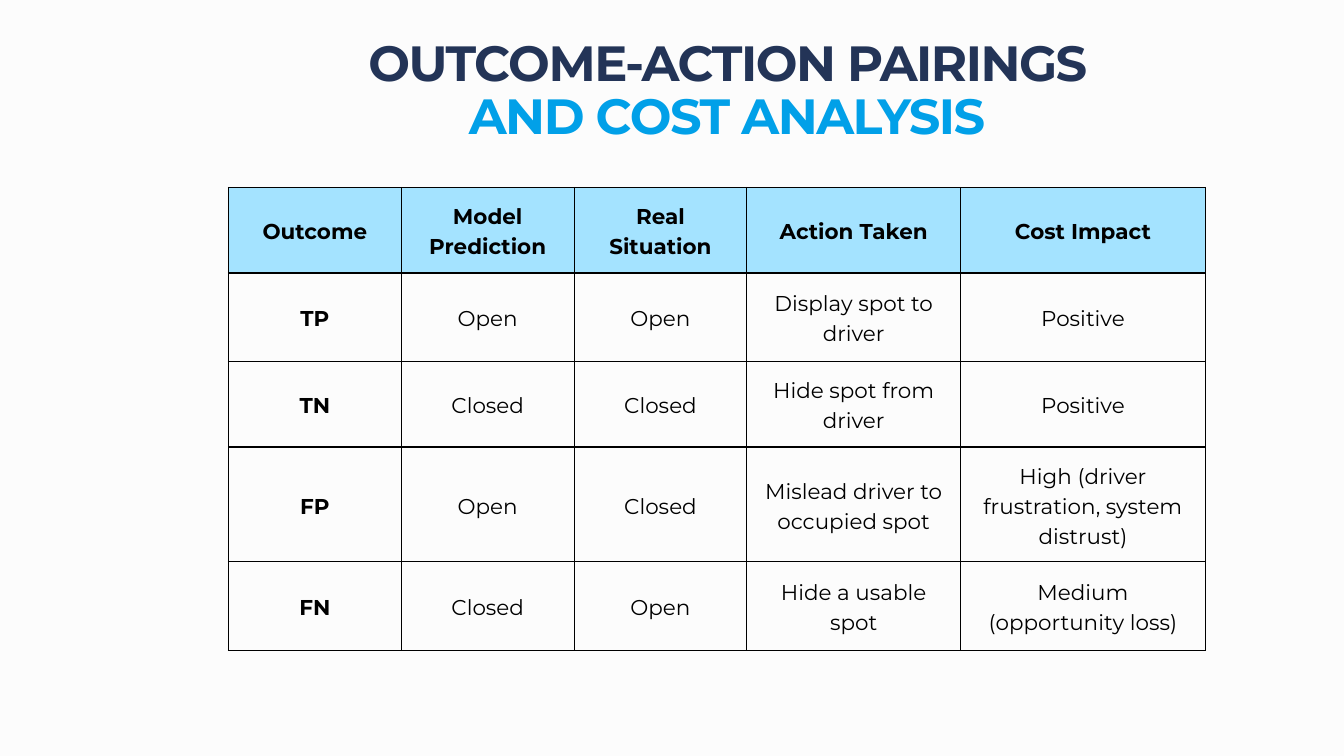
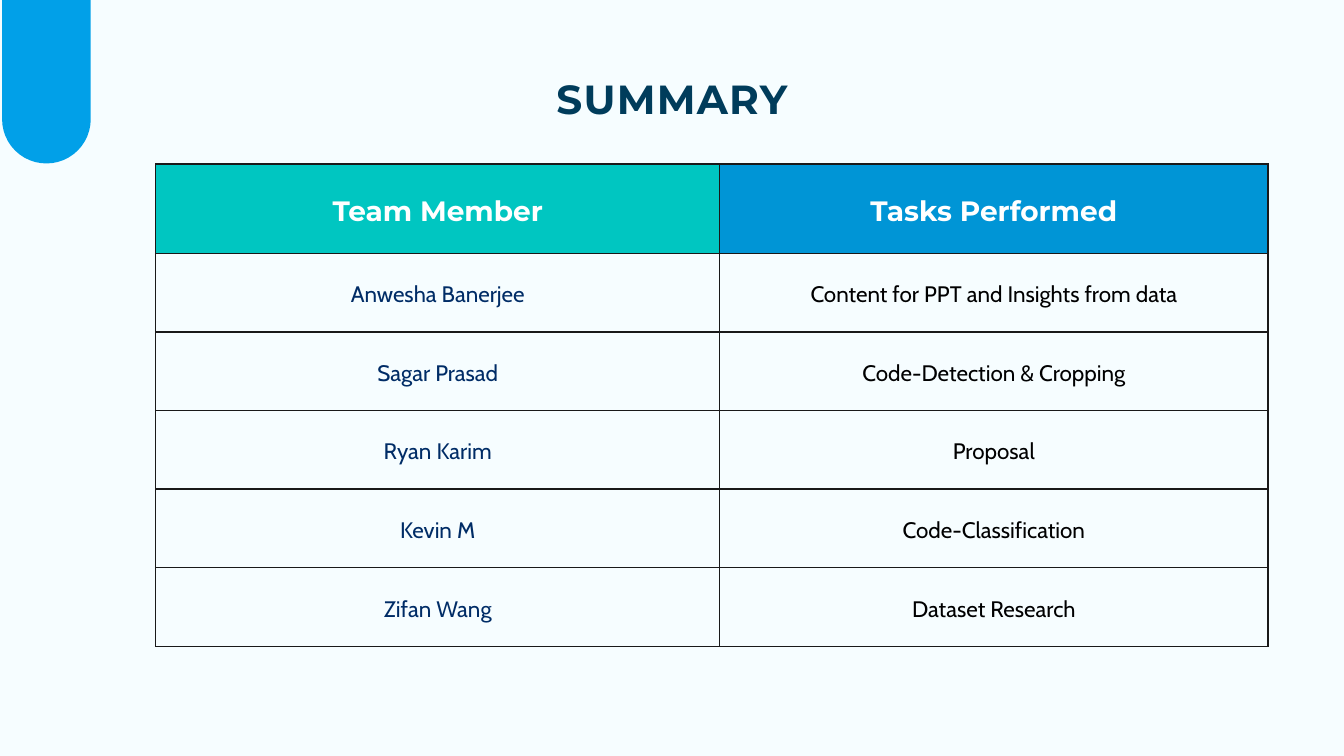
from lxml import etree
from pptx import Presentation
from pptx.dml.color import RGBColor
from pptx.enum.shapes import MSO_SHAPE
from pptx.enum.text import MSO_ANCHOR, MSO_AUTO_SIZE, PP_ALIGN
from pptx.oxml.ns import qn
from pptx.util import Cm, Pt

PILL = MSO_SHAPE.ROUNDED_RECTANGLE
TOP, MIDDLE = MSO_ANCHOR.TOP, MSO_ANCHOR.MIDDLE
CENTER = PP_ALIGN.CENTER
NO_FIT = MSO_AUTO_SIZE.NONE
TITLE_ONLY = 5

HEAD_FONT, BODY_FONT = "Montserrat", "Cabin"
LEADING = 1.4  # line height in tables, as a multiple of the text size

COLORS = {
    "paper": "FCFCFC",
    "mist": "F6FDFF",
    "navy": "233457",
    "deep": "003C5B",
    "azure": "01A0E8",
    "sky": "A4E3FF",
    "teal": "00C6C1",
    "blue": "0095D6",
    "name": "002C66",
    "rule": "191919",
    "black": "000000",
    "white": "FFFFFF",
}

COSTS = [
    ["Outcome", "Model Prediction", "Real Situation", "Action Taken", "Cost Impact"],
    ["TP", "Open", "Open", "Display spot to driver", "Positive"],
    ["TN", "Closed", "Closed", "Hide spot from driver", "Positive"],
    ["FP", "Open", "Closed", "Mislead driver to occupied spot",
     "High (driver frustration, system distrust)"],
    ["FN", "Closed", "Open", "Hide a usable spot", "Medium (opportunity loss)"],
]

TASKS = [
    ["Team Member", "Tasks Performed"],
    ["Anwesha Banerjee", "Content for PPT and Insights from data"],
    ["Sagar Prasad", "Code-Detection & Cropping"],
    ["Ryan Karim", "Proposal"],
    ["Kevin M", "Code-Classification"],
    ["Zifan Wang", "Dataset Research"],
]


def rgb(name):
    return RGBColor.from_string(COLORS[name])


def paint(target, name):
    target.fill.solid()
    target.fill.fore_color.rgb = rgb(name)


def style(run, font, size, color, bold=False):
    run.font.name = font
    run.font.size = Pt(size)
    run.font.bold = bold
    run.font.color.rgb = rgb(color)


def add_slide(deck, color):
    slide = deck.slides.add_slide(deck.slide_layouts[TITLE_ONLY])
    paint(slide.background, color)
    return slide


def add_title(slide, box, parts, size, lead, track):
    """Fill the title with (text, color) parts; track is the letter spacing in points."""
    title = slide.shapes.title
    title.left, title.top, title.width, title.height = map(Cm, box)
    frame = title.text_frame
    frame.margin_left = frame.margin_right = frame.margin_top = frame.margin_bottom = 0
    frame.vertical_anchor = TOP
    frame.auto_size = NO_FIT
    frame.word_wrap = True
    para = frame.paragraphs[0]
    para.alignment = CENTER
    para.line_spacing = Pt(lead)
    for text, color in parts:
        run = para.add_run()
        run.text = text
        style(run, HEAD_FONT, size, color, True)
        run.font._element.set("spc", str(round(track * 100)))


def add_border(cell, color):
    props = cell._tc.get_or_add_tcPr()
    for side in ("a:lnL", "a:lnR", "a:lnT", "a:lnB"):
        line = etree.SubElement(props, qn(side), w=str(Pt(1.5)))
        fill = etree.SubElement(line, qn("a:solidFill"))
        etree.SubElement(fill, qn("a:srgbClr"), val=COLORS[color])


def add_grid(slide, spot, cols, rows, data, inset, rule, look):
    """Add a table; look(row, col) gives a cell's fill and its text style."""
    left, top = spot
    frame = slide.shapes.add_table(len(rows), len(cols), Cm(left), Cm(top),
                                   Cm(sum(cols)), Cm(sum(rows)))
    table = frame.table
    table.first_row = table.horz_banding = False
    for col, width in zip(table.columns, cols):
        col.width = Cm(width)
    for row, height in zip(table.rows, rows):
        row.height = Cm(height)
    for r, line in enumerate(data):
        for c, text in enumerate(line):
            fill, font, size, color, bold = look(r, c)
            cell = table.cell(r, c)
            add_border(cell, rule)
            if fill:
                paint(cell, fill)
            else:
                cell.fill.background()
            cell.margin_left = cell.margin_right = Cm(inset)
            cell.margin_top = cell.margin_bottom = Cm(inset)
            cell.vertical_anchor = MIDDLE
            para = cell.text_frame.paragraphs[0]
            para.text = text
            para.alignment = CENTER
            para.line_spacing = Pt(size * LEADING)
            style(para.runs[0], font, size, color, bold)


def add_pill(slide, box, color):
    pill = slide.shapes.add_shape(PILL, *map(Cm, box))
    pill.adjustments[0] = 0.5
    pill.shadow.inherit = False
    paint(pill, color)
    pill.line.fill.background()


def cost_look(row, col):
    fill = "sky" if row == 0 else None
    return fill, HEAD_FONT, 23, "black", row == 0 or col == 0


def task_look(row, col):
    if row == 0:
        return ("teal", "blue")[col], HEAD_FONT, 30, "white", True
    return None, BODY_FONT, 24, ("name", "black")[col], False


def add_costs(deck):
    slide = add_slide(deck, "paper")
    add_grid(slide, (8.64, 7.09), [6.53] * 3 + [8.08, 9.25],
             [3.23, 3.35, 3.23, 4.34, 3.35], COSTS, 0.43, "black", cost_look)
    add_title(slide, (12.09, 1.45, 30.78, 4.04),
              [("OUTCOME-ACTION PAIRINGS ", "navy"), ("AND COST ANALYSIS", "azure")],
              53, 56.7, -1.6)


def add_summary(deck):
    slide = add_slide(deck, "mist")
    add_title(slide, (4.47, 2.64, 41.86, 1.96), [("SUMMARY", "deep")], 43.5, 57, 1.3)
    add_grid(slide, (5.89, 6.2), [21.31, 20.73], [3.38] + [2.97] * 5,
             TASKS, 0.25, "rule", task_look)
    add_pill(slide, (0.08, -2.39, 3.35, 8.57), "azure")


def main():
    deck = Presentation()
    deck.slide_width, deck.slide_height = Cm(50.8), Cm(28.58)
    add_costs(deck)
    add_summary(deck)
    deck.save("out.pptx")


if __name__ == "__main__":
    main()
